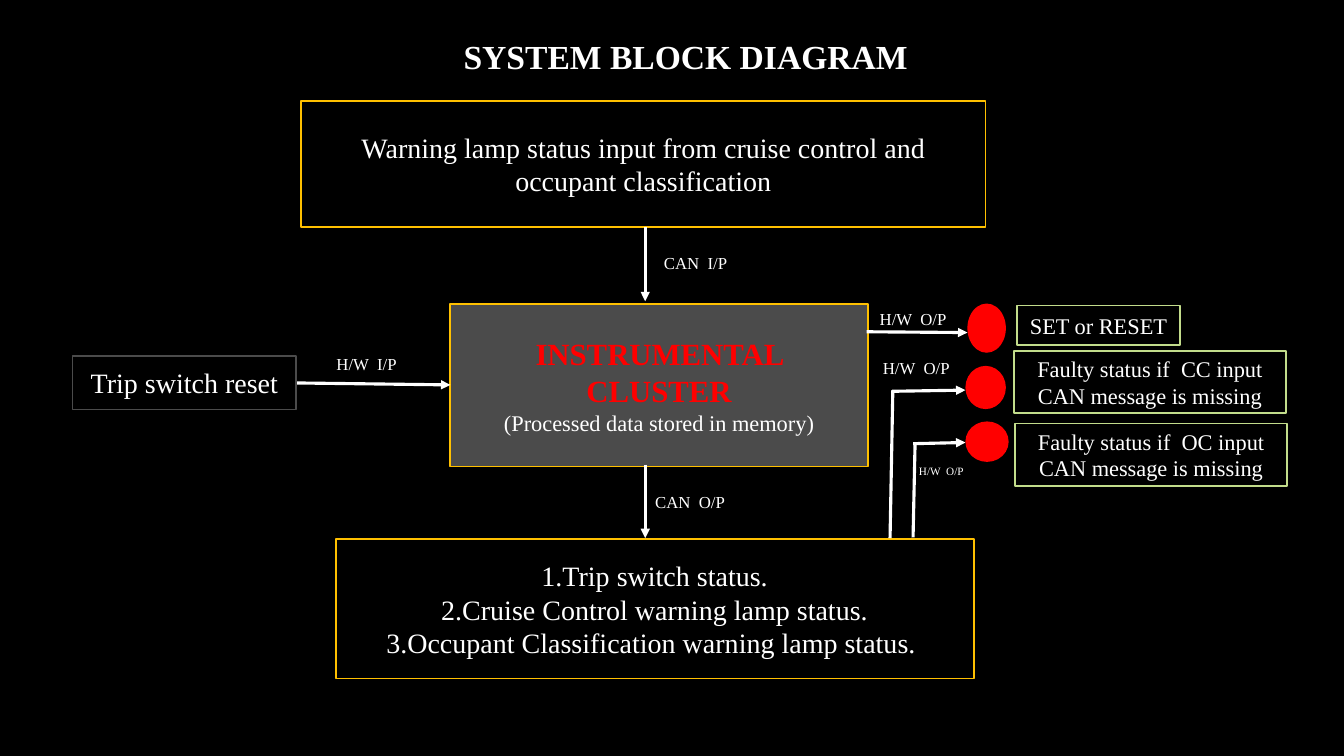
import pptx
import pptx.util
import pptx.dml.color
import pptx.enum.shapes
import pptx.enum.text
import pptx.oxml.ns
import lxml.etree

Cm = pptx.util.Cm
Pt = pptx.util.Pt
RGB = pptx.dml.color.RGBColor.from_string
SHAPE = pptx.enum.shapes.MSO_SHAPE
ALIGN = pptx.enum.text.PP_ALIGN
MIDDLE = pptx.enum.text.MSO_ANCHOR.MIDDLE
COLORS = {"black": "000000", "white": "FFFFFF", "grey": "4B4B4B",
          "amber": "FFC000", "green": "C2DC8B", "red": "FF0000"}


def write(frame, lines, align):
    frame.word_wrap = True
    frame.vertical_anchor = MIDDLE
    for index, (text, size, color, bold) in enumerate(lines):
        paragraph = frame.paragraphs[0] if index == 0 else frame.add_paragraph()
        paragraph.alignment = align
        run = paragraph.add_run()
        run.text = text
        run.font.name = "Times New Roman"
        run.font.size = Pt(size)
        run.font.bold = bold
        run.font.color.rgb = RGB(COLORS[color])


def add_block(kind, place, fill, outline):
    block = slide.shapes.add_shape(kind, *map(Cm, place))
    block.shadow.inherit = False
    if fill:
        block.fill.solid()
        block.fill.fore_color.rgb = RGB(COLORS[fill])
    else:
        block.fill.background()
    if outline:
        block.line.color.rgb = RGB(COLORS[outline])
        block.line.width = Pt(1.25)
    else:
        block.line.fill.background()
    return block


deck = pptx.Presentation()
deck.slide_width, deck.slide_height = Cm(33.87), Cm(19.05)
slide = deck.slides.add_slide(deck.slide_layouts[5])
slide.background.fill.solid()
slide.background.fill.fore_color.rgb = RGB(COLORS["black"])

heading = slide.shapes.title
heading.left, heading.top, heading.width, heading.height = map(Cm, (9.8, 0.77, 14.96, 1.28))
write(heading.text_frame, [("SYSTEM BLOCK DIAGRAM", 24, "white", True)], ALIGN.CENTER)

blocks = [
    ((11.35, 7.67, 10.52, 4.09), "grey", "amber",
     [("INSTRUMENTAL CLUSTER", 22, "red", True),
      ("(Processed data stored in memory)", 16, "white", False)]),
    ((7.59, 2.54, 17.25, 3.18), None, "amber",
     [("Warning lamp status input from cruise control and occupant classification",
       20, "white", False)]),
    ((8.46, 13.59, 16.08, 3.51), None, "amber",
     [("1.Trip switch status.", 20, "white", False),
      ("2.Cruise Control warning lamp status.", 20, "white", False),
      ("3.Occupant Classification warning lamp status. ", 20, "white", False)]),
    ((1.83, 8.97, 5.64, 1.35), None, "grey",
     [("Trip switch reset", 20, "white", False)]),
    ((25.63, 7.7, 4.11, 0.99), None, "green",
     [("SET or RESET", 16, "white", False)]),
    ((25.55, 8.84, 6.86, 1.57), None, "green",
     [("Faulty status if  CC input CAN message is missing", 16, "white", False)]),
    ((25.58, 10.67, 6.86, 1.57), None, "green",
     [("Faulty status if  OC input CAN message is missing", 16, "white", False)]),
]
for place, fill, outline, lines in blocks:
    block = add_block(SHAPE.RECTANGLE, place, fill, outline)
    write(block.text_frame, lines, ALIGN.CENTER)

lamps = [(24.38, 7.65, 0.97, 1.24), (24.33, 9.22, 1.02, 1.09), (24.33, 10.62, 1.09, 1.02)]
for place in lamps:
    add_block(SHAPE.OVAL, place, "red", None)

signals = [
    (7.49, 9.65, 11.35, 9.7, True),
    (21.84, 8.36, 24.38, 8.38, True),
    (16.26, 5.72, 16.26, 7.59, True),
    (16.26, 11.71, 16.26, 13.56, True),
    (22.43, 13.56, 22.5, 9.83, False),
    (22.48, 9.86, 24.33, 9.83, True),
    (23.01, 13.54, 23.06, 11.2, False),
    (23.01, 11.18, 24.33, 11.15, True),
]
for *ends, has_head in signals:
    signal = slide.shapes.add_connector(
        pptx.enum.shapes.MSO_CONNECTOR.STRAIGHT, *map(Cm, ends))
    signal.line.color.rgb = RGB(COLORS["white"])
    signal.line.width = Pt(2.25)
    if has_head:
        lxml.etree.SubElement(signal.line._get_or_add_ln(),
                              pptx.oxml.ns.qn("a:tailEnd"), type="triangle")
    lxml.etree.SubElement(signal._element.spPr, pptx.oxml.ns.qn("a:effectLst"))

labels = [
    ("H/W  I/P", 8.23, 8.79, 0.77, 12),
    ("H/W  O/P", 21.92, 7.65, 0.77, 12),
    ("H/W  O/P", 22, 8.89, 0.77, 12),
    ("H/W  O/P", 22.91, 11.58, 0.6, 8),
    ("CAN  I/P", 16.48, 6.25, 0.77, 12),
    ("CAN  O/P", 16.26, 12.27, 0.77, 12),
]
for text, left, top, height, size in labels:
    label = slide.shapes.add_textbox(Cm(left), Cm(top), Cm(2.4), Cm(height))
    write(label.text_frame, [(text, size, "white", False)], ALIGN.LEFT)

deck.save("out.pptx")
